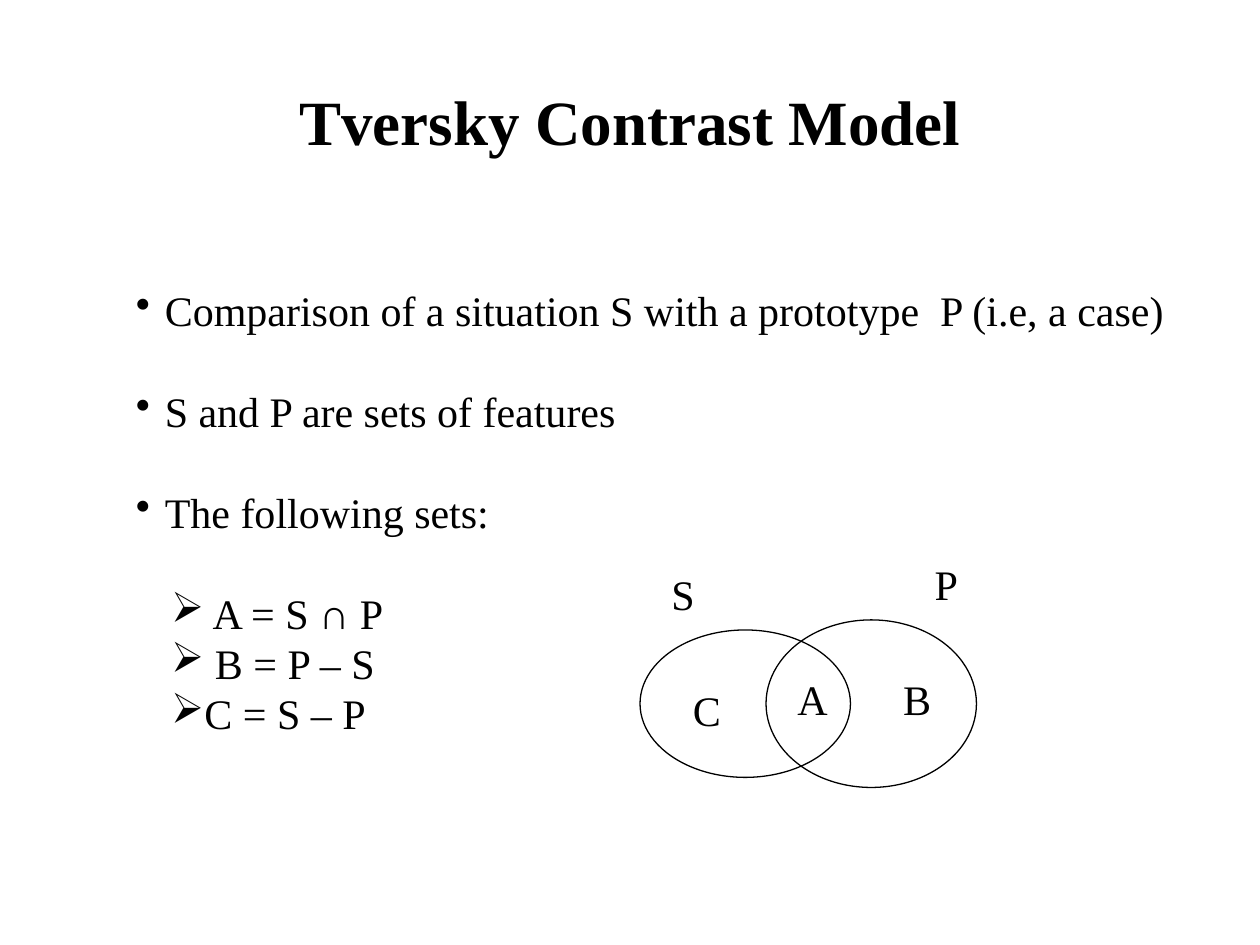
from lxml import etree
from pptx import Presentation
from pptx.dml.color import RGBColor as RGB
from pptx.enum.shapes import MSO_SHAPE as Shape
from pptx.enum.text import MSO_ANCHOR as Anchor, PP_ALIGN as Align
from pptx.oxml.ns import qn
from pptx.util import Inches, Pt

COLORS = {"ink": "000000"}
SERIF = "Times New Roman"


def add_run(para, text, size=24, font=SERIF, bold=False):
    run = para.add_run()
    run.text = text
    run.font.size = Pt(size)
    run.font.name = font
    run.font.bold = bold
    run.font.color.rgb = RGB.from_string(COLORS["ink"])


def add_bullet(para, char, left, hang):
    props = para._p.get_or_add_pPr()
    props.set("marL", str(Inches(left)))
    props.set("indent", str(-Inches(hang)))
    etree.SubElement(props, qn("a:buChar")).set("char", char)


prs = Presentation()
prs.slide_width, prs.slide_height = Inches(10), Inches(7.5)
slide = prs.slides.add_slide(prs.slide_layouts[6])

# Title
title = slide.shapes.add_textbox(Inches(0.75), Inches(0.33), Inches(8.5), Inches(1.25))
frame = title.text_frame
frame.word_wrap = True
frame.vertical_anchor = Anchor.MIDDLE
frame.paragraphs[0].alignment = Align.CENTER
add_run(frame.paragraphs[0], "Tversky Contrast Model", 36, bold=True)

# Bulleted text: points are set apart by one line, set rules are not
points = [
    "Comparison of a situation S with a prototype  P (i.e, a case)",
    "S and P are sets of features",
    "The following sets:",
]
rules = [
    [(" A = S ", SERIF), ("∩", "Arial"), (" P", SERIF)],
    [(" B = P – S", SERIF)],
    [("C = S – P", SERIF)],
]
pitch = Pt(28.8)
body = slide.shapes.add_textbox(Inches(0.98), Inches(1.8), Inches(8.77), Inches(4.1))
frame = body.text_frame
frame.word_wrap = True
frame.margin_top = Inches(0.46)
rows = [(0, [(text, SERIF)]) for text in points] + [(1, runs) for runs in rules]
for i, (level, runs) in enumerate(rows):
    para = frame.add_paragraph() if i else frame.paragraphs[0]
    para.level = level
    para.line_spacing = pitch
    para.space_after = Pt(0) if level else pitch
    if level:
        add_bullet(para, "➢", 0.5, 0.22)
    else:
        add_bullet(para, "•", 0.23, 0.23)
    for text, font in runs:
        add_run(para, text, font=font)

# Venn diagram: two overlapping sets
venn = slide.shapes.add_group_shape().shapes
for left, top, height in [(5.08, 5, 1.17), (6.08, 4.92, 1.33)]:
    oval = venn.add_shape(Shape.OVAL, Inches(left), Inches(top), Inches(1.67), Inches(height))
    oval.shadow.inherit = False
    oval.fill.background()
    oval.line.color.rgb = RGB.from_string(COLORS["ink"])
    oval.line.width = Pt(0.75)

# Venn labels
labels = [
    ("A", 6.23, 5.3, 0.44),
    ("S", 5.23, 4.46, 0.38),
    ("P", 7.32, 4.38, 0.38),
    ("C", 5.4, 5.38, 0.42),
    ("B", 7.07, 5.3, 0.42),
]
for name, left, top, width in labels:
    label = venn.add_textbox(Inches(left), Inches(top), Inches(width), Inches(0.5))
    label.text_frame.word_wrap = False
    add_run(label.text_frame.paragraphs[0], name)

prs.save("out.pptx")
